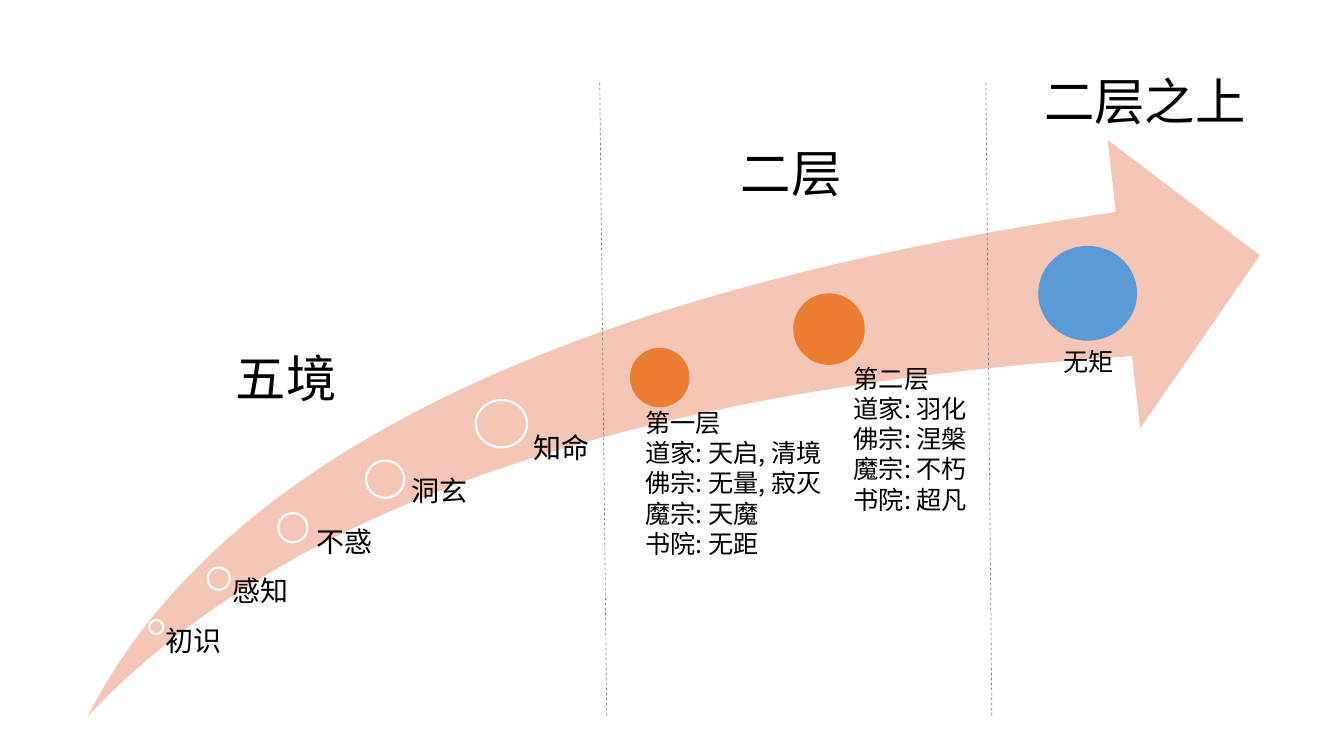
from dataclasses import dataclass

from lxml import etree
from pptx import Presentation
from pptx import util as u
from pptx.dml import color
from pptx.enum import dml, shapes, text
from pptx.oxml import ns

FONT = "Noto Sans CJK SC"
BLACK, WHITE, PEACH = "000000", "FFFFFF", "F5C6B6"
ORANGE, BLUE, GREY = "ED7D31", "5B9BD5", "808080"


@dataclass
class Box:
    left: float
    top: float
    width: float
    height: float

    def lengths(self) -> list[u.Length]:
        return [u.Pt(n) for n in (self.left, self.top, self.width, self.height)]


@dataclass
class Stage:
    name: str
    circle: Box
    label: Box
    inset: float


@dataclass
class Circle:
    box: Box
    fill: str


@dataclass
class Caption:
    lines: list[str]
    box: Box
    size: float
    wrap: bool = False


@dataclass
class Divider:
    left: float
    right: float


ARROW = Box(62.6, 100, 837.4, 411.8)
STAGES = [
    Stage("初识", Box(106.6, 442.8, 10.1, 10.1), Box(111.6, 447.8, 70.6, 64), 6.5),
    Stage("感知", Box(148.3, 405.4, 15.8, 15.8), Box(156.2, 412.6, 72.7, 112), 10),
    Stage("不惑", Box(198.7, 366.5, 20.9, 20.9), Box(212.4, 377.3, 85, 151), 13.7),
    Stage("洞玄", Box(261.4, 329, 27.4, 26.6), Box(276.5, 340.6, 87.8, 180), 17.3),
    Stage("知命", Box(339.8, 285.8, 36.7, 33.8), Box(358.6, 310.3, 87.8, 198), 22.3),
]
LEVELS = [
    Circle(Box(450, 248.4, 42.5, 42.5), ORANGE),
    Circle(Box(566.6, 209.5, 51.1, 51.1), ORANGE),
    Circle(Box(741.6, 175.7, 70.6, 67.7), BLUE),
]
DIVIDERS = [Divider(428.4, 433.4), Divider(704.2, 708.5)]
TITLE = Caption(["五境"], Box(161.3, 244, 87.1, 51), 36)
LISTS = [
    Caption(["第一层", "道家: 天启, 清境", "佛宗: 无量, 寂灭", "魔宗: 天魔", "书院: 无距"],
            Box(453.6, 287.3, 141.8, 116.6), 18, True),
    Caption(["第二层", "道家: 羽化", "佛宗: 涅槃", "魔宗: 不朽", "书院: 超凡"],
            Box(602.6, 255.6, 96.5, 116.6), 18, True),
]
CAPTIONS = [
    Caption(["无矩"], Box(752.4, 244, 51.1, 28.8), 18),
    Caption(["二层"], Box(522, 98, 87.1, 51), 36),
    Caption(["二层之上"], Box(738.7, 46.8, 159.8, 51), 36),
]


def rgb(value: str) -> color.RGBColor:
    return color.RGBColor.from_string(value)


def format_para(para, size: float, spacing: float = 1.0) -> None:
    para.alignment = text.PP_ALIGN.LEFT
    para.line_spacing = spacing
    para.space_before = para.space_after = u.Pt(0)
    for span in para.runs:
        span.font.size = u.Pt(size)
        span.font.name = FONT
        span.font.color.rgb = rgb(BLACK)
        east = etree.SubElement(span.font._element, ns.qn("a:ea"))
        east.set("typeface", FONT)


def add_filled(page, kind: shapes.MSO_SHAPE, box: Box, fill: str, outline: str = ""):
    shape = page.shapes.add_shape(kind, *box.lengths())
    shape.shadow.inherit = False
    shape.fill.solid()
    shape.fill.fore_color.rgb = rgb(fill)
    if outline:
        shape.line.color.rgb = rgb(outline)
        shape.line.width = u.Pt(1.5)
    else:
        shape.line.fill.background()
    return shape


def add_stage(page, stage: Stage) -> None:
    add_filled(page, shapes.MSO_SHAPE.OVAL, stage.circle, PEACH, WHITE)
    label = page.shapes.add_textbox(*stage.label.lengths())
    frame = label.text_frame
    frame.word_wrap = True
    frame.margin_left = u.Pt(stage.inset)
    frame.margin_top = frame.margin_right = frame.margin_bottom = u.Pt(0)
    frame.text = stage.name
    format_para(frame.paragraphs[0], 20, 0.9)


def add_divider(page, divider: Divider) -> None:
    line = page.shapes.add_connector(
        shapes.MSO_CONNECTOR.STRAIGHT,
        u.Pt(divider.left), u.Pt(59), u.Pt(divider.right), u.Pt(512.6))
    line.line.color.rgb = rgb(GREY)
    line.line.width = u.Pt(0.5)
    line.line.dash_style = dml.MSO_LINE.DASH
    etree.SubElement(line._element.spPr, ns.qn("a:effectLst"))


def fill_caption(box, caption: Caption) -> None:
    box.left, box.top, box.width, box.height = caption.box.lengths()
    frame = box.text_frame
    frame.text = "\n".join(caption.lines)
    frame.word_wrap = caption.wrap
    frame.auto_size = text.MSO_AUTO_SIZE.SHAPE_TO_FIT_TEXT
    frame.vertical_anchor = text.MSO_ANCHOR.TOP
    for para in frame.paragraphs:
        format_para(para, caption.size)


def fill_placeholder(box, caption: Caption) -> None:
    fill_caption(box, caption)
    for para in box.text_frame.paragraphs:
        properties = para._p.get_or_add_pPr()
        properties.set("marL", "0")
        properties.set("indent", "0")
        etree.SubElement(properties, ns.qn("a:buNone"))
    box.element.getparent().append(box.element)


def main() -> None:
    deck = Presentation()
    deck.slide_width, deck.slide_height = u.Pt(960), u.Pt(540)
    page = deck.slides.add_slide(deck.slide_layouts.get_by_name("Two Content"))
    title, *bodies = list(page.placeholders)

    arrow = add_filled(page, shapes.MSO_SHAPE.SWOOSH_ARROW, ARROW, PEACH)
    arrow.adjustments[0] = arrow.adjustments[1] = 0.25
    for stage in STAGES:
        add_stage(page, stage)
    for level in LEVELS:
        add_filled(page, shapes.MSO_SHAPE.OVAL, level.box, level.fill)
    for divider in DIVIDERS:
        add_divider(page, divider)
    for box, caption in zip([title, *bodies], [TITLE, *LISTS]):
        fill_placeholder(box, caption)
    for caption in CAPTIONS:
        fill_caption(page.shapes.add_textbox(*caption.box.lengths()), caption)
    deck.save("out.pptx")


if __name__ == "__main__":
    main()
